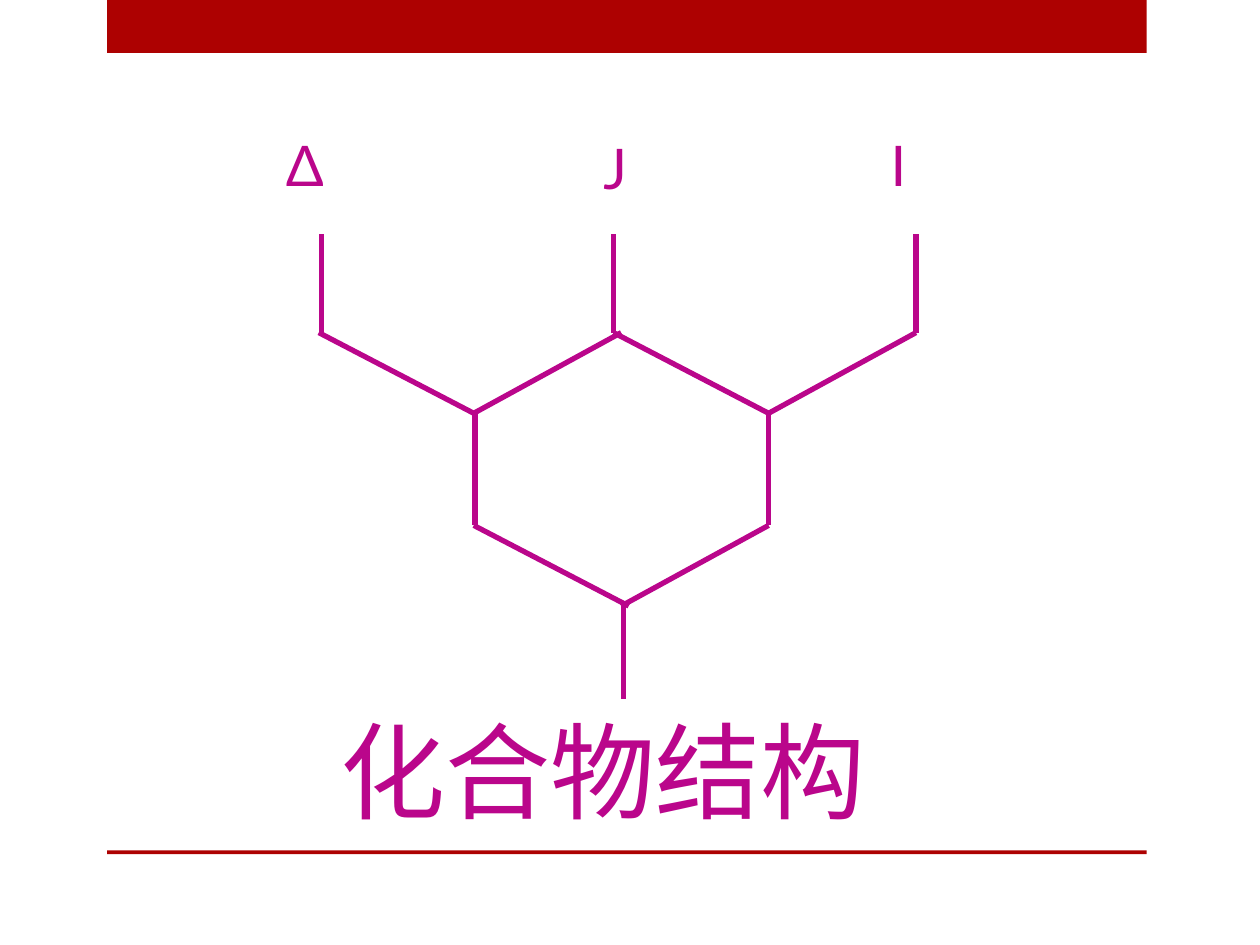
from pptx import Presentation
from pptx.dml.color import RGBColor
from pptx.enum.shapes import MSO_CONNECTOR, MSO_SHAPE
from pptx.enum.text import MSO_ANCHOR, PP_ALIGN
from pptx.oxml.ns import qn
from pptx.util import Inches, Pt
from lxml import etree

LINE, RECT = MSO_CONNECTOR.STRAIGHT, MSO_SHAPE.RECTANGLE
LEFT, MIDDLE, TOP = PP_ALIGN.LEFT, MSO_ANCHOR.MIDDLE, MSO_ANCHOR.TOP
COLORS = {"bar": "AD0101", "bond": "BA068B"}

# Content
TITLE = "化合物结构"
LABELS = [("Δ", 2.17, 0.99), ("J", 4.69, 1.01), ("I", 6.97, 0.99)]
BARS = [(0, 0.42), (6.75, 0.03)]  # top, height

# Bond rows: tip, arm, upper ring, lower ring, foot
TIP, ARM, HIGH, LOW, FOOT = 1.86, 2.64, 3.28, 4.17, 4.81
RING_L, RING_R = 3.76, 6.1
STEMS = [  # x, top, bottom
    (2.55, TIP, ARM), (4.87, TIP, ARM), (7.27, TIP, ARM),
    (3.77, HIGH, LOW), (RING_R, HIGH, LOW), (4.95, 4.77, 5.55),
]
SLOPES = [  # x1, y1, x2, y2
    (2.53, ARM, RING_L, HIGH), (RING_L, HIGH, 4.93, ARM),
    (4.87, ARM, RING_R, HIGH), (RING_R, HIGH, 7.27, ARM),
    (RING_L, LOW, 4.99, FOOT), (4.93, FOOT, RING_R, LOW),
]


def color(name):
    return RGBColor.from_string(COLORS[name])


def place(shape, *box):
    shape.left, shape.top, shape.width, shape.height = map(Inches, box)


def write(shape, text, size, face, anchor):
    frame = shape.text_frame
    frame.word_wrap = True
    frame.vertical_anchor = anchor
    para = frame.paragraphs[0]
    para.text = text
    para.alignment = LEFT
    para.font.size = Pt(size)
    para.font.name = face
    para.font.color.rgb = color("bond")


def bond(slide, *ends):
    line = slide.shapes.add_connector(LINE, *map(Inches, ends))
    line.line.color.rgb = color("bond")
    line.line.width = Pt(3)
    etree.SubElement(line._element.spPr, qn("a:effectLst"))


prs = Presentation()
prs.slide_width, prs.slide_height = Inches(10), Inches(7.5)
slide = prs.slides.add_slide(prs.slide_layouts[5])

# Frame bars
for top, height in BARS:
    bar = slide.shapes.add_shape(RECT, *map(Inches, (0.85, top, 8.25, height)))
    bar.shadow.inherit = False
    bar.fill.solid()
    bar.fill.fore_color.rgb = color("bar")
    bar.line.fill.background()

# Substituent labels
for text, left, top in LABELS:
    box = slide.shapes.add_textbox(*map(Inches, (left, top, 0.63, 0.64)))
    write(box, text, 32, "Lato", TOP)

# Molecule
for x, top, bottom in STEMS:
    bond(slide, x, top, x, bottom)
for ends in SLOPES:
    bond(slide, *ends)

# Title
title = slide.shapes.title
place(title, 2.6, 5.55, 4.65, 1.11)
write(title, TITLE, 60, "Times New Roman", MIDDLE)

prs.save("out.pptx")
